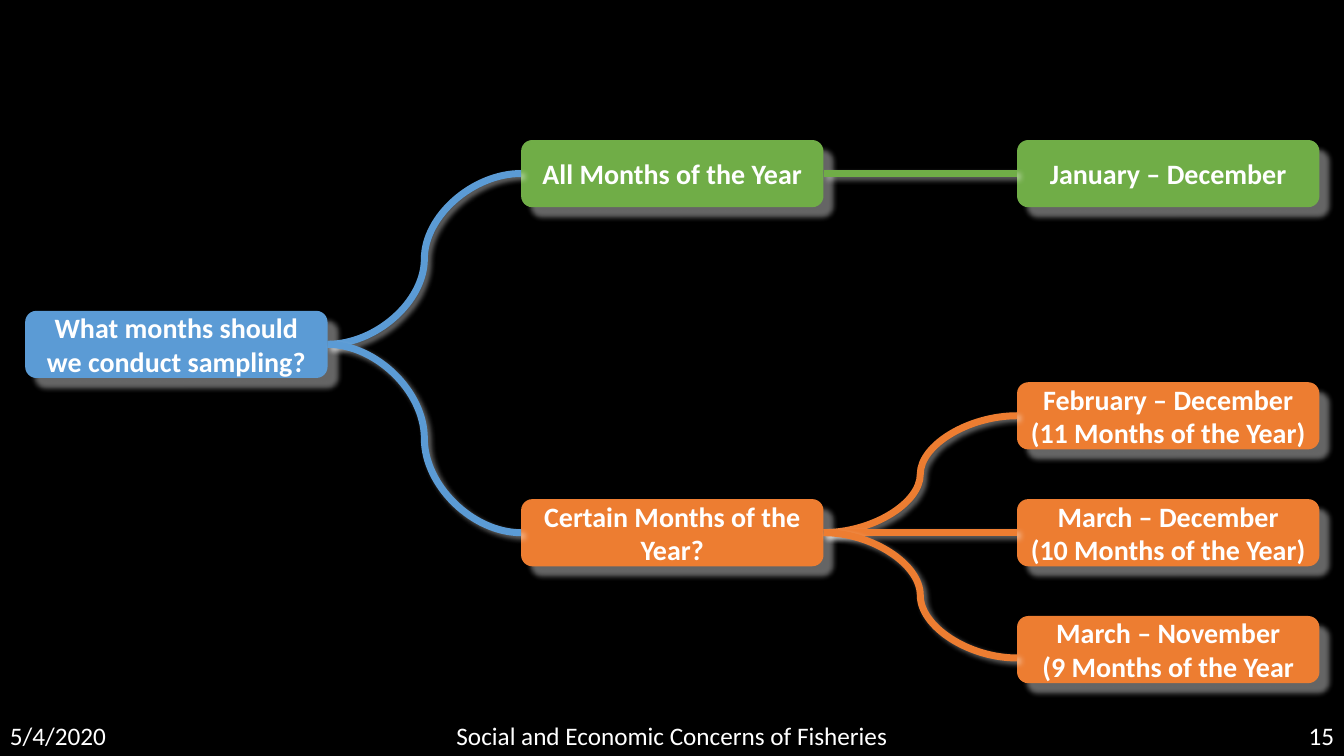
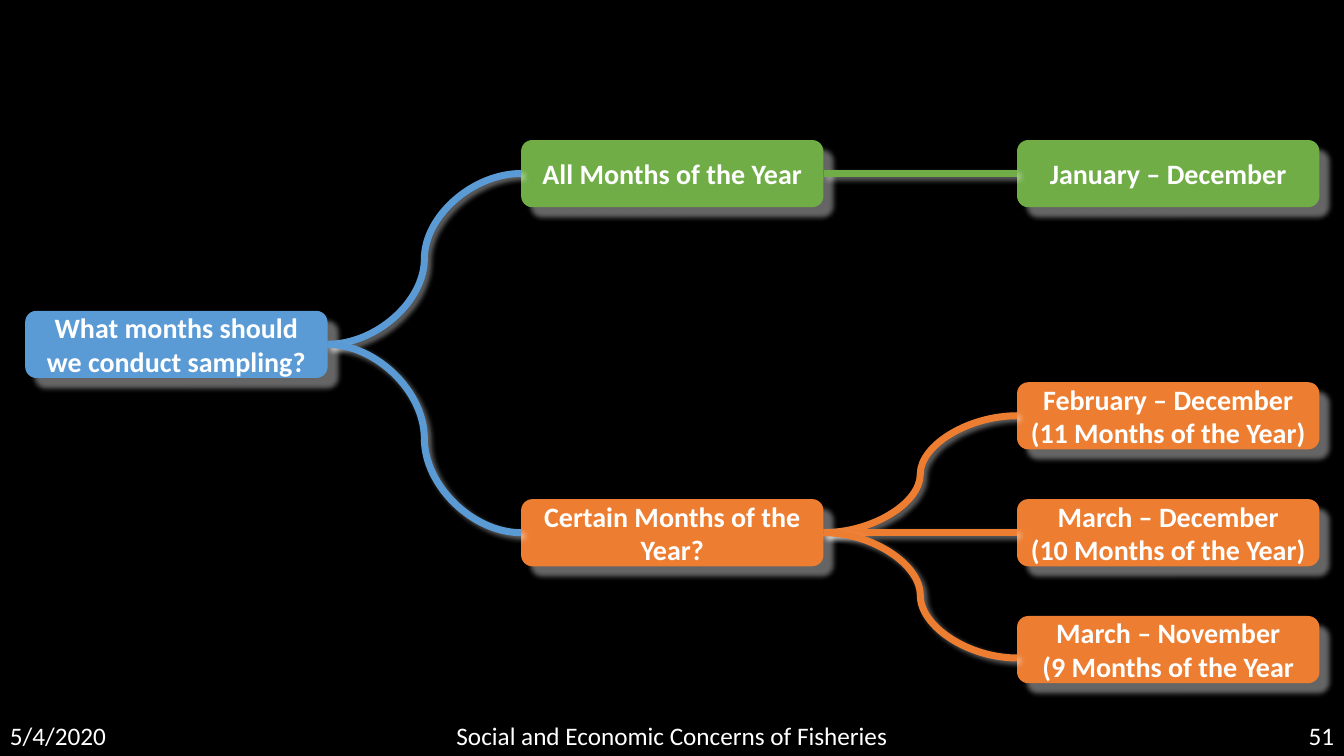
"""Build two slides that show the sampling-month decision tree."""
from dataclasses import dataclass

from lxml.etree import SubElement
from pptx import Presentation
from pptx.dml.color import RGBColor
from pptx.enum.shapes import MSO_CONNECTOR as Connector, MSO_SHAPE as Preset
from pptx.enum.text import MSO_ANCHOR as Anchor, PP_ALIGN as Align
from pptx.oxml.ns import qn
from pptx.shapes.autoshape import Shape
from pptx.shapes.base import BaseShape
from pptx.slide import Slide
from pptx.util import Pt


@dataclass(frozen=True)
class Theme:
    font: str = "Calibri"
    black: str = "000000"
    white: str = "FFFFFF"
    blue: str = "5B9BD5"
    green: str = "70AD47"
    orange: str = "ED7D31"
    node_size: float = 20
    footer_size: float = 18
    branch_weight: float = 5
    node_shadow: float = 10
    branch_shadow: float = 3


@dataclass(frozen=True)
class Node:
    column: int
    top: float
    color: str
    text: str


@dataclass(frozen=True)
class Branch:
    start: str
    end: str
    color: str
    drop: float = 0


@dataclass(frozen=True)
class FooterItem:
    left: float
    width: float
    align: Align
    text: str


THEME = Theme()
PAGE_WIDTH, PAGE_HEIGHT = 960, 540
FOOTER_HEIGHT = 28.8
FOOTER_TOP = PAGE_HEIGHT - FOOTER_HEIGHT
NODE_LEFT, NODE_STEP = 18, 354.24
NODE_WIDTH, NODE_HEIGHT = 216, 48
LEFT_SITE, RIGHT_SITE = 1, 3
TOP_ROW, QUESTION_ROW = 100, 222
OPTION_ROW, OPTION_STEP = 273, 83.5
PAGE_NUMBERS = ("15", "51")

NODES = {
    "question": Node(0, QUESTION_ROW, THEME.blue, "What months should we conduct sampling?"),
    "full year": Node(2, TOP_ROW, THEME.green, "January – December"),
    "eleven": Node(2, OPTION_ROW, THEME.orange, "February – December\n(11 Months of the Year)"),
    "ten": Node(2, OPTION_ROW + OPTION_STEP, THEME.orange,
                "March – December\n(10 Months of the Year)"),
    "nine": Node(2, OPTION_ROW + 2 * OPTION_STEP, THEME.orange,
                 "March – November\n(9 Months of the Year"),
    "certain": Node(1, OPTION_ROW + OPTION_STEP, THEME.orange, "Certain Months of the Year?"),
    "all": Node(1, TOP_ROW, THEME.green, "All Months of the Year"),
}
BRANCHES = (
    Branch("question", "all", THEME.blue),
    Branch("question", "certain", THEME.blue),
    Branch("all", "full year", THEME.green),
    Branch("certain", "eleven", THEME.orange),
    Branch("certain", "ten", THEME.orange),
    Branch("certain", "nine", THEME.orange, drop=6),
)


def rgb(color: str) -> RGBColor:
    return RGBColor.from_string(color)


def write_text(box: Shape, text: str, size: float, align: Align, bold: bool = False) -> None:
    frame = box.text_frame
    frame.text = text
    frame.word_wrap = True
    frame.vertical_anchor = Anchor.MIDDLE
    for para in frame.paragraphs:
        para.alignment = align
        for span in para.runs:
            span.font.name = THEME.font
            span.font.size = Pt(size)
            span.font.bold = bold
            span.font.color.rgb = rgb(THEME.white)


def add_glow_shadow(shape: BaseShape, distance: float) -> None:
    effects = SubElement(shape.element.spPr, qn("a:effectLst"))
    shadow = SubElement(effects, qn("a:outerShdw"), blurRad=str(Pt(4)), dist=str(Pt(distance)),
                        dir=str(45 * 60000), algn="tl", rotWithShape="0")
    color = SubElement(shadow, qn("a:srgbClr"), val=THEME.white)
    SubElement(color, qn("a:alpha"), val="40000")


def add_footer(page: Slide, number: str) -> None:
    band = page.shapes.add_shape(Preset.RECTANGLE, 0, Pt(FOOTER_TOP),
                                 Pt(PAGE_WIDTH), Pt(FOOTER_HEIGHT))
    band.shadow.inherit = False
    band.fill.solid()
    band.fill.fore_color.rgb = rgb(THEME.black)
    band.line.color.rgb = rgb(THEME.black)
    band.line.width = Pt(1)
    items = (
        FooterItem(0, 216, Align.LEFT, "5/4/2020"),
        FooterItem(264, 432, Align.CENTER, "Social and Economic Concerns of Fisheries"),
        FooterItem(744, 216, Align.RIGHT, number),
    )
    for item in items:
        box = page.shapes.add_textbox(Pt(item.left), Pt(FOOTER_TOP),
                                      Pt(item.width), Pt(FOOTER_HEIGHT))
        write_text(box, item.text, THEME.footer_size, item.align)


def add_node(page: Slide, node: Node) -> Shape:
    box = page.shapes.add_shape(Preset.ROUNDED_RECTANGLE,
                                Pt(NODE_LEFT + node.column * NODE_STEP), Pt(node.top),
                                Pt(NODE_WIDTH), Pt(NODE_HEIGHT))
    box.fill.solid()
    box.fill.fore_color.rgb = rgb(node.color)
    box.line.fill.background()
    add_glow_shadow(box, THEME.node_shadow)
    write_text(box, node.text, THEME.node_size, Align.CENTER, bold=True)
    return box


def add_branch(page: Slide, branch: Branch, boxes: dict[str, Shape]) -> None:
    start, end = boxes[branch.start], boxes[branch.end]
    curve = page.shapes.add_connector(
        Connector.CURVE, start.left + start.width, start.top + start.height // 2,
        end.left, end.top + end.height // 2 + Pt(branch.drop))
    curve.begin_connect(start, RIGHT_SITE)
    if not branch.drop:
        curve.end_connect(end, LEFT_SITE)
    curve.line.color.rgb = rgb(branch.color)
    curve.line.width = Pt(THEME.branch_weight)
    add_glow_shadow(curve, THEME.branch_shadow)


def main() -> None:
    deck = Presentation()
    deck.slide_width, deck.slide_height = Pt(PAGE_WIDTH), Pt(PAGE_HEIGHT)
    background = deck.slide_master.background.fill
    background.solid()
    background.fore_color.rgb = rgb(THEME.black)
    blank_layout = deck.slide_layouts.get_by_name("Blank")
    for number in PAGE_NUMBERS:
        page = deck.slides.add_slide(blank_layout)
        add_footer(page, number)
        boxes = {name: add_node(page, node) for name, node in NODES.items()}
        for branch in BRANCHES:
            add_branch(page, branch, boxes)
    deck.save("out.pptx")


if __name__ == "__main__":
    main()
